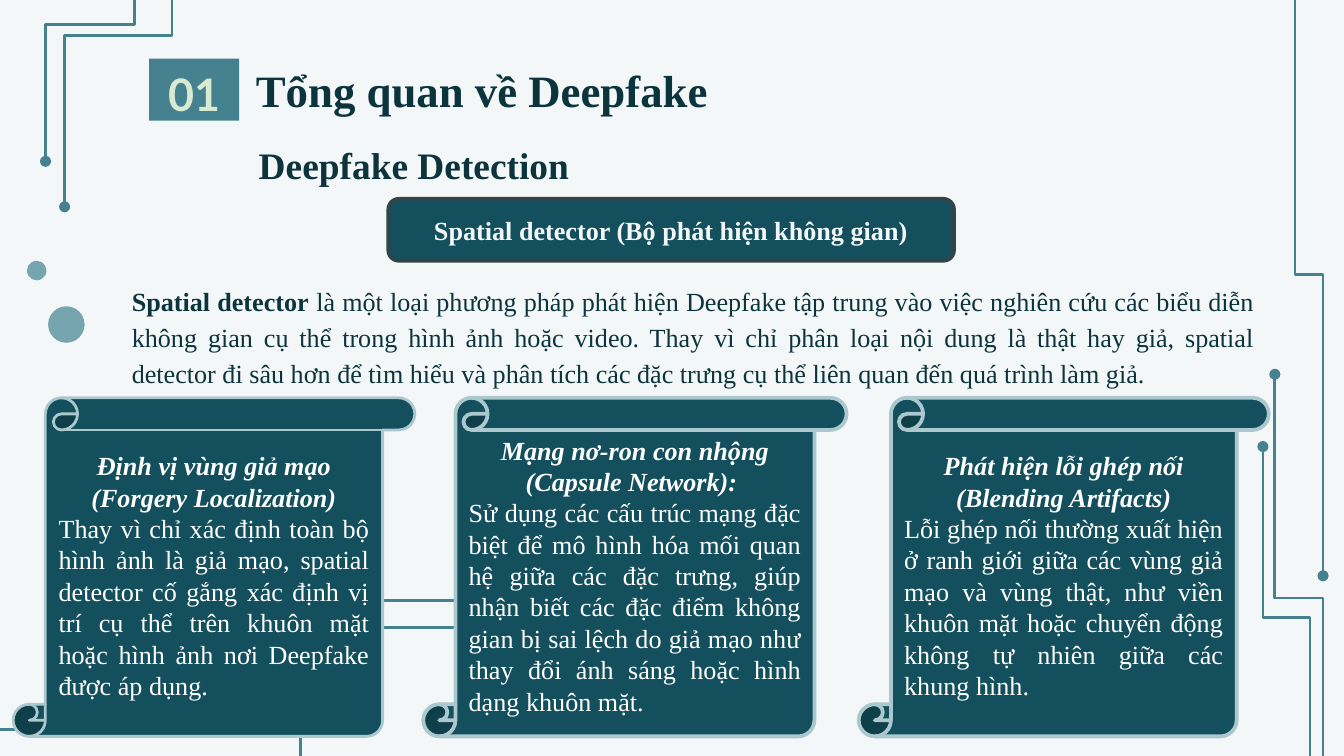
"""Build the slide on spatial detectors for deepfakes."""
from lxml import etree
from pptx import Presentation
from pptx import util as u
from pptx.dml.color import RGBColor
from pptx.enum import shapes, text
from pptx.oxml.ns import qn

SHAPE = shapes.MSO_SHAPE
MID, LOW, TOP = text.MSO_ANCHOR.MIDDLE, text.MSO_ANCHOR.BOTTOM, text.MSO_ANCHOR.TOP
MAIN, EVEN = text.PP_ALIGN.CENTER, text.PP_ALIGN.JUSTIFY
TEAL, DEEP, INK, PALE, RIM = "45818E", "134F5C", "0C343D", "F3F7F8", "ABC8CE"

WIRES = [
    (19.05, 4.93, 11.38, 0.53, 270, True, 0.5),
    (1.85, 11.86, 7.67, 2.67, 180, True, 0.5),
    (20.32, 10.85, 8.46, 0.91, 90, True, 0.5),
    (19.69, 12.62, 9.25, 0.89, 90, True, 0.65),
    (-0.89, 11.35, 16.13, 2.44, 180, True, 0.5),
    (-0.66, 0, 5.79, 2.03, 90, False, 0.44),
    (-0.89, -0.38, 5.18, 1.68, 90, False, 0.5),
]
DOTS = [(0.91, 5.79, 0.69), (0.51, 4.93, 0.37)]
CARDS = [
    (0.25, 7.59, 1.5, "Định vị vùng giả mạo (Forgery Localization)",
     "Thay vì chỉ xác định toàn bộ hình ảnh là giả mạo, spatial detector cố gắng "
     "xác định vị trí cụ thể trên khuôn mặt hoặc hình ảnh nơi Deepfake được áp dụng."),
    (16.23, 7.75, 2, "Phát hiện lỗi ghép nối (Blending Artifacts)",
     "Lỗi ghép nối thường xuất hiện ở ranh giới giữa các vùng giả mạo và vùng thật, "
     "như viền khuôn mặt hoặc chuyển động không tự nhiên giữa các khung hình."),
    (8, 8, 2, "Mạng nơ-ron con nhộng (Capsule Network): ",
     "Sử dụng các cấu trúc mạng đặc biệt để mô hình hóa mối quan hệ giữa các đặc "
     "trưng, giúp nhận biết các đặc điểm không gian bị sai lệch do giả mạo như thay "
     "đổi ánh sáng hoặc hình dạng khuôn mặt."),
]
LEAD = "Spatial detector"
BODY = (" là một loại phương pháp phát hiện Deepfake tập trung vào việc nghiên cứu các "
        "biểu diễn không gian cụ thể trong hình ảnh hoặc video. Thay vì chỉ phân loại nội "
        "dung là thật hay giả, spatial detector đi sâu hơn để tìm hiểu và phân tích các "
        "đặc trưng cụ thể liên quan đến quá trình làm giả.")


def tint(code):
    """Turn a hex string into a colour."""
    return RGBColor.from_string(code)


def place(item, left, top, wide, high):
    """Move and size a placeholder in centimetres."""
    item.left, item.top = u.Cm(left), u.Cm(top)
    item.width, item.height = u.Cm(wide), u.Cm(high)


def write(item, *paras, size=14, color=INK, face="Times New Roman",
          anchor=MID, pad=0.13, space=1.0):
    """Fill a shape with paragraphs of (alignment, (text, bold, italic), ...)."""
    frame = item.text_frame
    frame.word_wrap = True
    frame.auto_size = text.MSO_AUTO_SIZE.NONE
    frame.vertical_anchor = anchor
    frame.margin_left = frame.margin_right = u.Cm(0.25)
    frame.margin_top = frame.margin_bottom = u.Cm(pad)
    for spot, (align, *spans) in enumerate(paras):
        para = frame.add_paragraph() if spot else frame.paragraphs[0]
        para.alignment, para.line_spacing = align, space
        para.space_before = u.Pt(0)
        for words, bold, slant in spans:
            run = para.add_run()
            run.text = words
            font = run.font
            font.name, font.size = face, u.Pt(size)
            font.bold, font.italic = bold, slant
            font.color.rgb = tint(color)


def draw(slide, kind, left, top, wide, high, fill, rim=None, thick=2, adj=None):
    """Add a preset shape with a flat fill and an optional outline."""
    item = slide.shapes.add_shape(kind, u.Cm(left), u.Cm(top), u.Cm(wide), u.Cm(high))
    item.shadow.inherit = False
    item.fill.solid()
    item.fill.fore_color.rgb = tint(fill)
    if rim:
        item.line.color.rgb = tint(rim)
        item.line.width = u.Pt(thick)
    else:
        item.line.fill.background()
    if adj:
        item.adjustments[0] = adj
    return item


def wire(slide, left, top, wide, high, turn, flip, bend):
    """Add a turned elbow connector that ends in a dot."""
    start, stop = (left + wide, left) if flip else (left, left + wide)
    line = slide.shapes.add_connector(
        shapes.MSO_CONNECTOR.ELBOW, u.Cm(start), u.Cm(top), u.Cm(stop), u.Cm(top + high))
    line.line.color.rgb = tint(TEAL)
    line.line.width = u.Pt(1.5)
    props = line._element.spPr
    props.find(qn("a:xfrm")).set("rot", str(turn * 60000))
    guide = etree.SubElement(props.find(".//" + qn("a:avLst")), qn("a:gd"))
    guide.set("name", "adj1")
    guide.set("fmla", f"val {round(bend * 100000)}")
    etree.SubElement(props.find(qn("a:ln")), qn("a:tailEnd")).set("type", "oval")
    etree.SubElement(props, qn("a:effectLst"))


def intro(item):
    """Set the body placeholder as an indented paragraph without a bullet."""
    place(item, 0.97, 5.05, 23.01, 2.34)
    write(item, (EVEN, (LEAD, True, False), (BODY, False, False)),
          anchor=TOP, pad=0.25, space=1.15)
    props = item.text_frame.paragraphs[0]._p.get_or_add_pPr()
    props.set("marL", str(u.Cm(1.27)))
    props.set("indent", "0")
    etree.SubElement(props, qn("a:buNone"))


def card(slide, left, wide, thick, head, note):
    """Add a scroll with a heading and a note."""
    item = draw(slide, SHAPE.VERTICAL_SCROLL, left, 7.52, wide, 6.4,
                DEEP, RIM, thick, 0.095)
    write(item, (MAIN, (head, True, True)), (EVEN, (note, False, False)), color="FFFFFF")


def main():
    """Build and save the slide."""
    deck = Presentation()
    deck.slide_width, deck.slide_height = u.Cm(25.4), u.Cm(14.29)
    slide = deck.slides.add_slide(deck.slide_layouts[1])
    slide.background.fill.solid()
    slide.background.fill.fore_color.rgb = tint(PALE)
    for spec in WIRES:
        wire(slide, *spec)
    for left, top, size in DOTS:
        draw(slide, SHAPE.OVAL, left, top, size, size, "76A5AF")

    badge = draw(slide, SHAPE.RECTANGLE, 2.82, 1.11, 1.7, 1.17, TEAL)
    write(badge, (MAIN, ("01", True, False)), size=24, color="D9EAD3",
          face="Lato", pad=0.25, space=1.15)
    title, body = slide.placeholders
    place(title, 4.52, 1.14, 9.17, 1.32)
    write(title, (MAIN, ("Tổng quan về Deepfake", True, False)),
          size=24, anchor=LOW, pad=0.25)
    intro(body)
    label = draw(slide, SHAPE.ROUNDED_RECTANGLE, 7.34, 3.76, 10.69, 1.17,
                 DEEP, "314549", 2, 0.17)
    write(label, (MAIN, ("Spatial detector (Bộ phát hiện không gian)", True, False)),
          color=PALE)
    topic = slide.shapes.add_textbox(u.Cm(3.66), u.Cm(2.62), u.Cm(8.33), u.Cm(1.17))
    write(topic, (MAIN, ("Deepfake Detection", True, False)),
          size=20, anchor=LOW, pad=0.25)
    for item in CARDS:
        card(slide, *item)
    deck.save("out.pptx")


if __name__ == "__main__":
    main()
